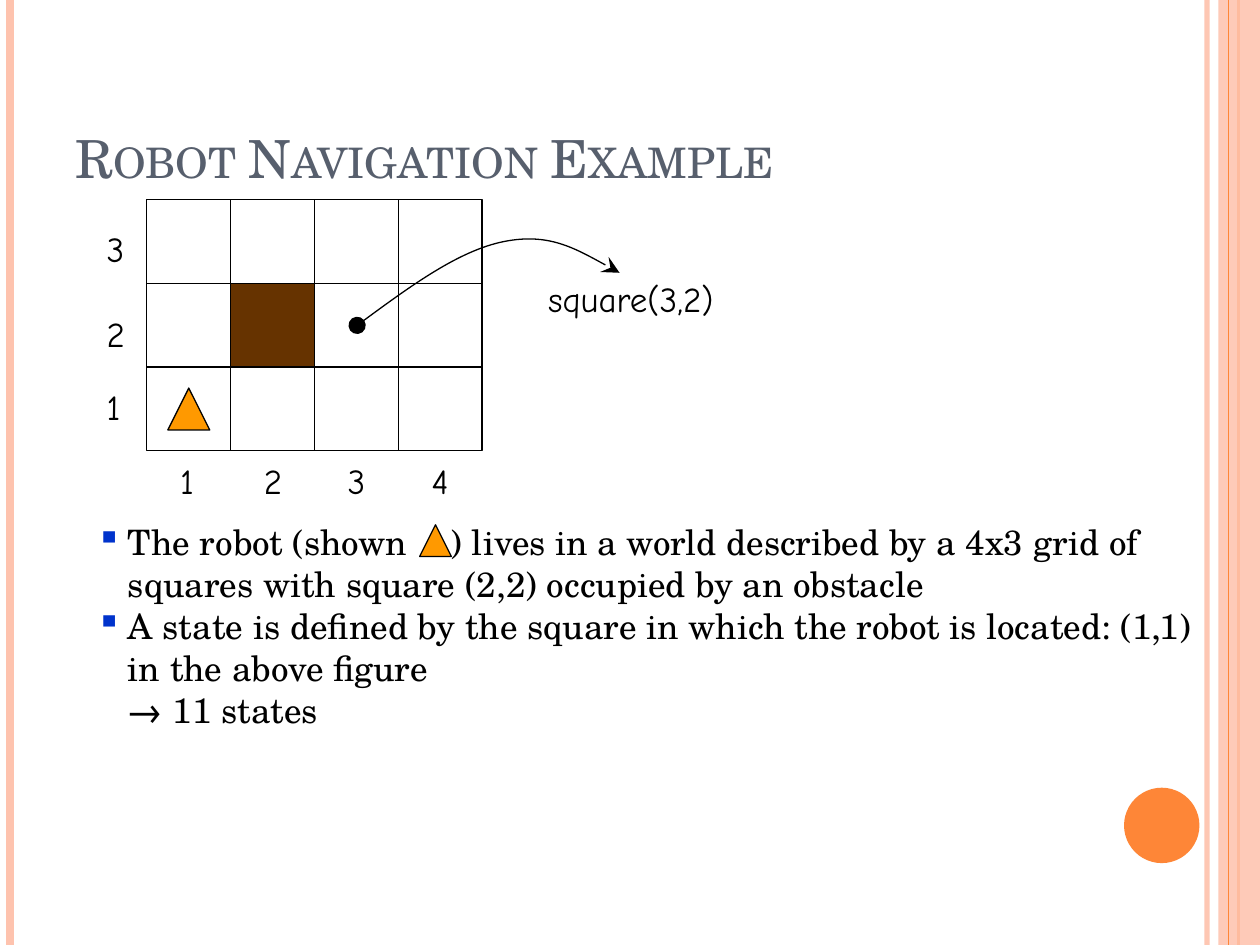
"""Builds the robot navigation slide with its grid world."""
from lxml.etree import SubElement
from pptx import Presentation
from pptx.dml.color import RGBColor
from pptx.enum.shapes import MSO_CONNECTOR, MSO_SHAPE
from pptx.enum.text import MSO_ANCHOR
from pptx.oxml.ns import qn
from pptx.util import Cm, Pt

INK = {"peach": "FEC3AE", "orange": "FE8637", "slate": "575F6D", "black": "000000",
       "blue": "0033CC", "amber": "FF9900", "brown": "663300"}
SERIF, HAND = "TeX Gyre Schola", "Comic Neue"
WIDE, HIGH = 25.4, 19.05

TITLE = "Robot Navigation Example"
NOTES = [
    (True, ["The robot (shown", " ", ") lives in a world described by a 4x3 grid of "
            "squares with square (2,2) occupied by an obstacle"]),
    (True, ["A state is defined by the square in which the robot is located: (1,1) "
            "in the above figure"]),
    (False, ["→ 11 states"]),
]
GAP = "1900"
RULES = [(24.33, "peach", 3, 93), (0.2, "peach", 4.5, 100), (24.97, "orange", 1.5, 100)]
EDGE = (24.77, "orange", 0.75, 100)
LEFT, TOP, CELL = 2.96, 4.02, 1.69
COLS, ROWS = 4, 3
ROW_TAGS = [("3", 4.47), ("2", 6.17), ("1", 7.65)]
TAGS = [(tag, 1.9, y, 1.1) for tag, y in ROW_TAGS]
TAGS += [(str(i + 1), LEFT + 0.42 + i * CELL, 9.14, 1.1) for i in range(COLS)]
TAGS += [("square(3,2)", 10.8, 5.46, 4.6)]
CURVE = [(7.2, 6.56), (8.23, 5.8), (9.26, 5.05), (10.16, 4.87),
         (11.06, 4.69), (11.77, 5.1), (12.49, 5.5)]

deck = Presentation()
deck.slide_width, deck.slide_height = Cm(WIDE), Cm(HIGH)
slide = deck.slides.add_slide(deck.slide_layouts[6])
shapes = slide.shapes


def color(name):
    return RGBColor.from_string(INK[name])


def fade(part, alpha):
    if alpha < 100:
        tint = next(part.iter(qn("a:srgbClr")))
        SubElement(tint, qn("a:alpha"), val=str(alpha * 1000))


def rule(x1, y1, x2, y2, ink="black", width=0.75, alpha=100):
    line = shapes.add_connector(MSO_CONNECTOR.STRAIGHT, Cm(x1), Cm(y1), Cm(x2), Cm(y2))
    line.line.color.rgb = color(ink)
    line.line.width = Pt(width)
    fade(line.line._ln, alpha)
    SubElement(line._element.spPr, qn("a:effectLst"))


def block(kind, x, y, w, h, fill=None, edge="black"):
    item = shapes.add_shape(kind, Cm(x), Cm(y), Cm(w), Cm(h))
    item.shadow.inherit = False
    if fill:
        item.fill.solid()
        item.fill.fore_color.rgb = color(fill)
    else:
        item.fill.background()
    if edge:
        item.line.color.rgb = color(edge)
        item.line.width = Pt(0.75)
    else:
        item.line.fill.background()
    return item


def frame(x, y, w, h):
    text = shapes.add_textbox(Cm(x), Cm(y), Cm(w), Cm(h)).text_frame
    text.word_wrap = True
    return text


def style(para, face, size, ink="black"):
    para.font.name, para.font.size = face, Pt(size)
    para.font.color.rgb = color(ink)


def margins():
    for x, ink, width, alpha in RULES:
        rule(x, 0, x, HIGH, ink, width, alpha)
    band = block(MSO_SHAPE.RECTANGLE, 24.56, 0, 0.84, HIGH, "peach", None)
    fade(band._element.spPr, 87)
    x, ink, width, alpha = EDGE
    rule(x, 0, x, HIGH, ink, width, alpha)
    block(MSO_SHAPE.OVAL, 22.66, 15.88, 1.52, 1.52, "orange", None)


def words():
    head = frame(1.27, 0.76, 20.75, 3.18)
    head.vertical_anchor = MSO_ANCHOR.BOTTOM
    para = head.paragraphs[0]
    run = para.add_run()
    run.text = TITLE
    run._r.get_or_add_rPr().set("cap", "small")
    style(para, SERIF, 30, "slate")

    body = frame(1.69, 10.36, 22.86, 4.5)
    for i, (mark, parts) in enumerate(NOTES):
        para = body.add_paragraph() if i else body.paragraphs[0]
        props = para._p.get_or_add_pPr()
        props.set("marL", str(Cm(0.64)))
        props.set("indent", str(Cm(-0.64 if mark else 0)))
        if mark:
            tint = SubElement(props, qn("a:buClr"))
            SubElement(tint, qn("a:srgbClr"), val=INK["blue"])
            SubElement(props, qn("a:buChar"), char="▪")
        for part in parts:
            run = para.add_run()
            run.text = part
            if part == " ":
                run._r.get_or_add_rPr().set("spc", GAP)
        style(para, SERIF, 20)


def world():
    right, base = LEFT + COLS * CELL, TOP + ROWS * CELL
    block(MSO_SHAPE.RECTANGLE, LEFT, TOP, COLS * CELL, ROWS * CELL)
    for i in range(1, COLS):
        rule(LEFT + i * CELL, TOP, LEFT + i * CELL, base)
    for i in range(1, ROWS):
        rule(LEFT, TOP + i * CELL, right, TOP + i * CELL)
    block(MSO_SHAPE.RECTANGLE, LEFT + CELL, TOP + CELL, CELL, CELL, "brown")
    side = CELL / 2
    block(MSO_SHAPE.ISOSCELES_TRIANGLE, LEFT + CELL / 4, base - CELL * 0.75,
          side, side, "amber")
    block(MSO_SHAPE.ISOSCELES_TRIANGLE, 8.46, 10.58, 0.64, 0.64, "amber")
    for tag, x, y, w in TAGS:
        para = frame(x, y, w, 1.09).paragraphs[0]
        para.text = tag
        style(para, HAND, 20)


def arrow():
    dots = [(Cm(x), Cm(y)) for x, y in CURVE]
    pen = shapes.build_freeform(*dots[0])
    pen.add_line_segments(dots[1:], close=False)
    curve = pen.convert_to_shape()
    curve.shadow.inherit = False
    curve.fill.background()
    curve.line.color.rgb = color("black")
    curve.line.width = Pt(0.75)
    steps = list(curve._element.iter(qn("a:lnTo")))
    track = steps[0].getparent()
    for i in range(0, len(steps), 3):
        bend = SubElement(track, qn("a:cubicBezTo"))
        for step in steps[i:i + 3]:
            bend.append(step[0])
            track.remove(step)
    SubElement(curve.line._ln, qn("a:headEnd"), type="oval", w="lg", len="lg")
    SubElement(curve.line._ln, qn("a:tailEnd"), type="stealth", w="lg", len="lg")


margins()
words()
world()
arrow()
deck.save("out.pptx")
